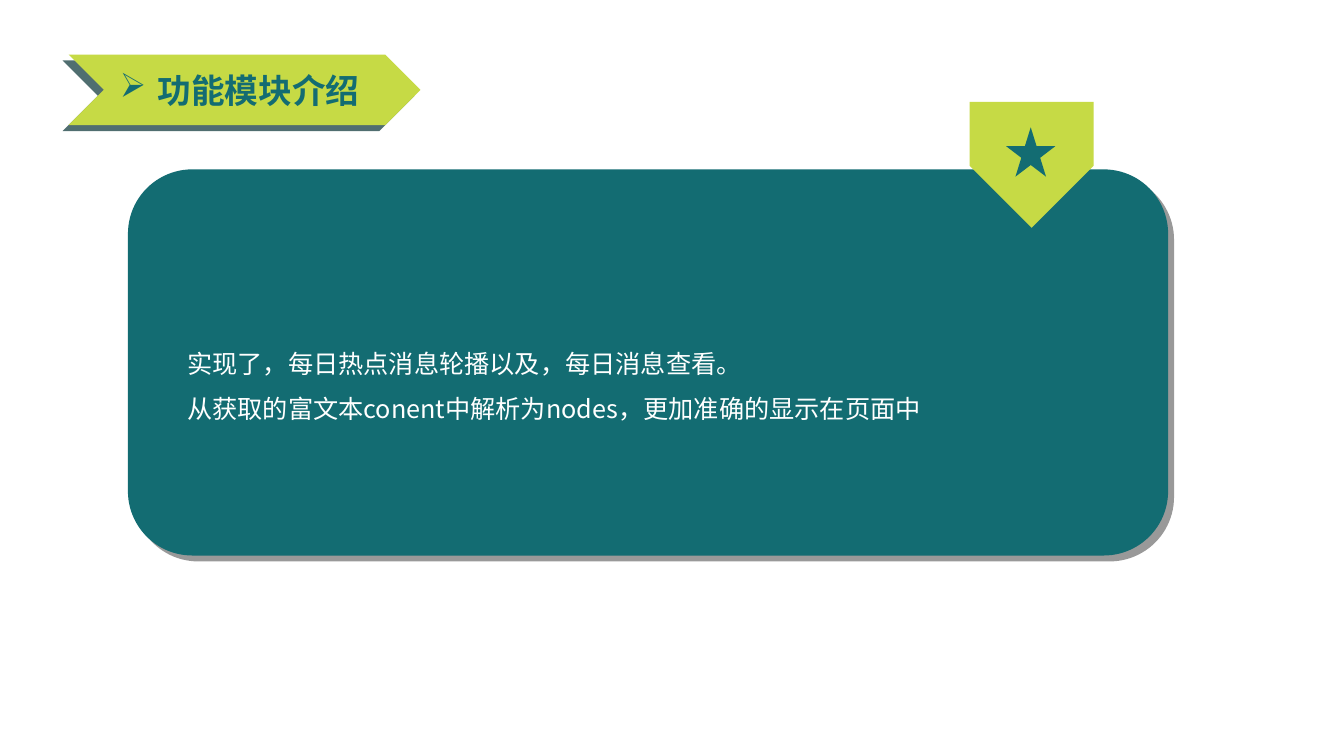
from dataclasses import dataclass
from lxml.etree import SubElement
from pptx import Presentation
from pptx.dml.color import RGBColor
from pptx.enum.shapes import MSO_SHAPE
from pptx.enum.text import MSO_ANCHOR, MSO_AUTO_SIZE, PP_ALIGN
from pptx.oxml.ns import qn
from pptx.util import Pt


@dataclass(frozen=True)
class Theme:
    teal: str = "136C72"
    lime: str = "C6DA45"
    white: str = "FFFFFF"
    dark: str = "073134"
    black: str = "000000"
    font: str = "Noto Sans CJK SC"
    head: int = 24
    body: int = 18


THEME = Theme()


def place(item, box):
    item.left, item.top, item.width, item.height = map(Pt, box)


def add_form(slide, kind, box, color, turn=0):
    form = slide.shapes.add_shape(kind, *map(Pt, box))
    form.fill.solid()
    form.fill.fore_color.rgb = RGBColor.from_string(color)
    form.line.fill.background()
    form.shadow.inherit = False
    form.rotation = turn
    return form


def cast(form, color, alpha, angle):
    """Give a form a hard shadow, 6 pt away."""
    list_ = form._element.spPr.find(qn("a:effectLst"))
    shade = SubElement(list_, qn("a:outerShdw"), blurRad="0",
                       dist=str(Pt(6)), dir=str(angle * 60000),
                       algn="ctr", rotWithShape="0")
    tint = SubElement(shade, qn("a:srgbClr"), val=color)
    SubElement(tint, qn("a:alpha"), val=str(alpha * 1000))


def write(item, lines, size, color, anchor, bold=False, space=1.0):
    frame = item.text_frame
    frame.text = "\n".join(lines)
    frame.word_wrap = True
    frame.auto_size = MSO_AUTO_SIZE.SHAPE_TO_FIT_TEXT
    frame.vertical_anchor = anchor
    for para in frame.paragraphs:
        para.alignment = PP_ALIGN.LEFT
        para.line_spacing = space
        font = para.font
        font.size, font.bold, font.name = Pt(size), bold, THEME.font
        font.color.rgb = RGBColor.from_string(color)
        SubElement(font._rPr, qn("a:ea"), typeface=THEME.font)


def add_mark(para, sign, indent):
    """Set a hanging bullet ahead of the font settings."""
    props = para._p.get_or_add_pPr()
    props.set("marL", str(Pt(indent)))
    props.set("indent", str(-Pt(indent)))
    mark = SubElement(props, qn("a:buChar"), char=sign)
    props.find(qn("a:defRPr")).addprevious(mark)


def add_head(slide):
    banner = add_form(slide, MSO_SHAPE.CHEVRON, (49, 39, 251.3, 50.4),
                      THEME.lime)
    cast(banner, THEME.dark, 70, 135)
    title = slide.shapes.title
    place(title, (78.5, 46.1, 190.8, 36))
    write(title, ["功能模块介绍"], THEME.head, THEME.teal,
          MSO_ANCHOR.TOP, bold=True)
    add_mark(title.text_frame.paragraphs[0], "➢", 27)
    # Lift the title above its banner
    banner._element.addnext(title._element)


def add_card(slide):
    card = add_form(slide, MSO_SHAPE.ROUNDED_RECTANGLE,
                    (91.4, 121, 743, 275.8), THEME.teal)
    cast(card, THEME.black, 40, 45)
    add_form(slide, MSO_SHAPE.PENTAGON, (691.9, 73.4, 90, 88.6),
             THEME.lime, 90)
    text = slide.shapes.add_textbox(*map(Pt, (126.7, 234, 672.5, 72.7)))
    write(text, ["实现了，每日热点消息轮播以及，每日消息查看。",
                 "从获取的富文本conent中解析为nodes，更加准确的显示在页面中"],
          THEME.body, THEME.white, MSO_ANCHOR.MIDDLE, space=1.5)
    add_form(slide, MSO_SHAPE.STAR_5_POINT, (718.6, 90.9, 35.3, 35.3),
             THEME.teal)


def main():
    deck = Presentation()
    deck.slide_width, deck.slide_height = Pt(960), Pt(540)
    slide = deck.slides.add_slide(deck.slide_layouts[5])
    add_head(slide)
    add_card(slide)
    deck.save("out.pptx")


if __name__ == "__main__":
    main()
